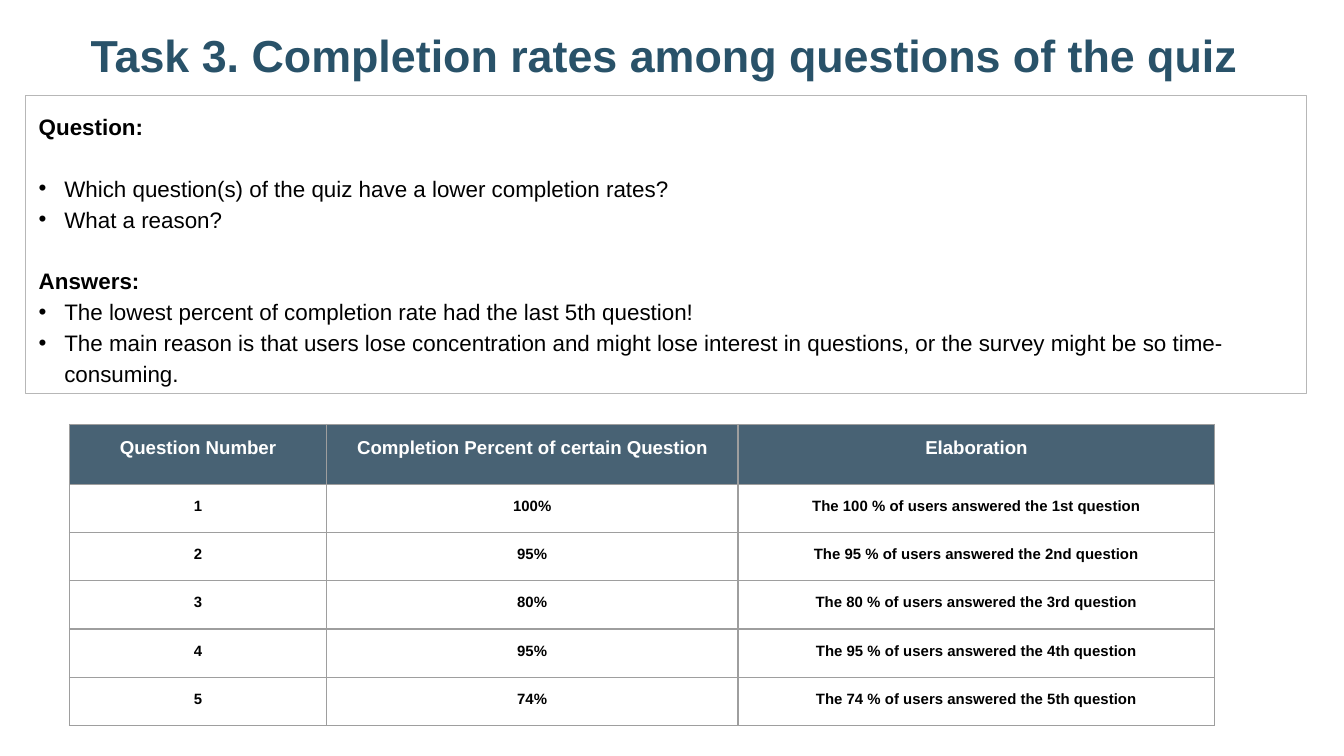
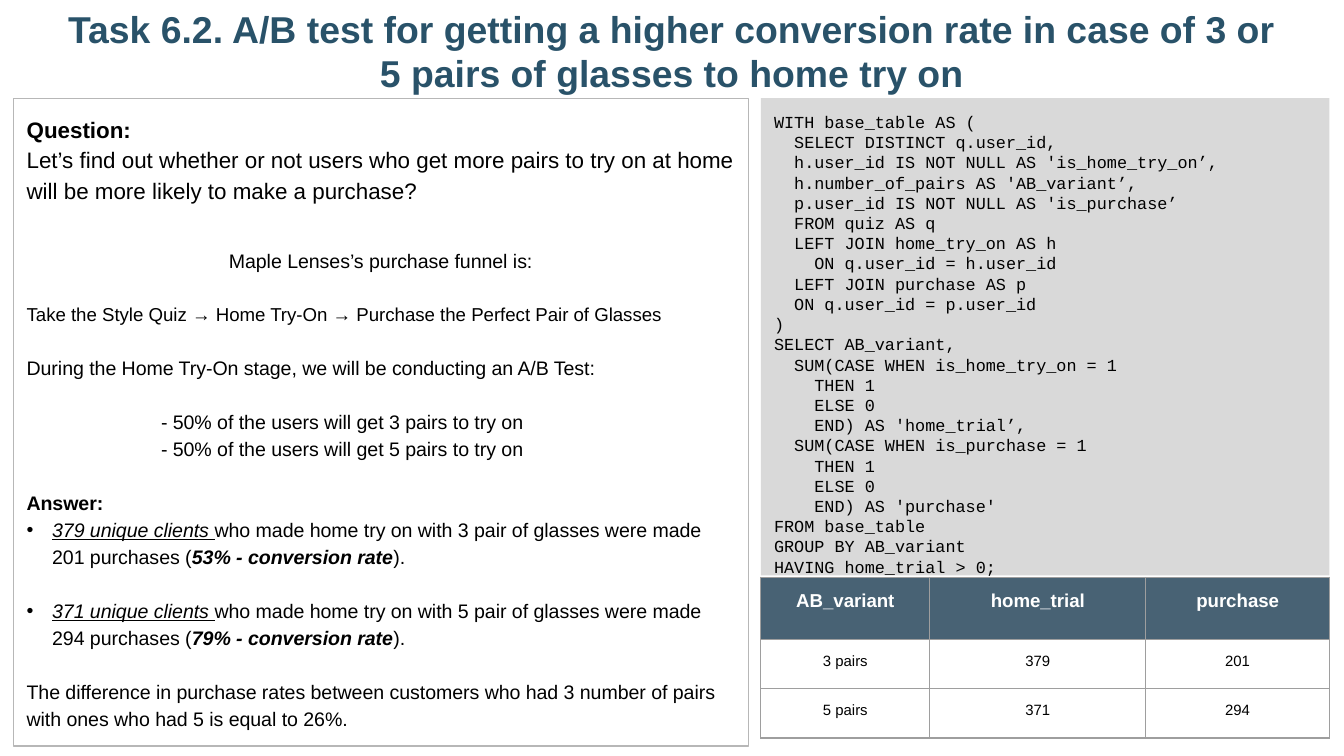
"""Build two quiz-funnel slides: completion rates and the A/B test of home try-on."""
from dataclasses import dataclass
from typing import NamedTuple

from lxml import etree
from pptx import Presentation
from pptx import util as u
from pptx.dml import color
from pptx.enum import shapes, text
from pptx.oxml import ns

SANS, MONO = "Arial", "Courier New"
TITLE, INK, WHITE = "295269", "000000", "FFFFFF"
HEADER, BORDER, FRAME, CODE_FILL = "204056", "9E9E9E", "B7B7B7", "D9D9D9"
HEADER_OPACITY = 82
INSET, LINE_WIDTH = 7.2, 0.75
HANG = 13.7
LEFT, CENTER = text.PP_ALIGN.LEFT, text.PP_ALIGN.CENTER
BOLD = {"bold": True}
CLIENTS = {"italic": True, "underline": True}
RATE = {"bold": True, "italic": True}


class Area(NamedTuple):
    """Left, top, width and height in points."""
    left: float
    top: float
    width: float
    height: float

    def lengths(self) -> list[u.Length]:
        return [u.Pt(value) for value in self]


class Span(NamedTuple):
    """A stretch of text with its own format values."""
    words: str
    style: dict = {}


@dataclass
class Line:
    """A paragraph; gap is the size of the empty line above it."""
    spans: list[Span]
    size: float = 12
    gap: float = 0
    bullet: bool = False
    indent: float = 0
    align: text.PP_ALIGN = LEFT
    spacing: float = 1.15
    font: str = SANS


@dataclass
class Panel:
    """A rectangle filled with paragraphs."""
    area: Area
    lines: list[Line]
    fill: str | None = None
    outline: str | None = None


@dataclass
class Grid:
    """A table with a dark header row."""
    left: float
    top: float
    columns: list[float]
    header_height: float
    row_height: float
    rows: list[list[str]]
    bold_body: bool


@dataclass
class Page:
    """One slide with its title, panels and table."""
    title: str
    title_size: float
    title_area: Area
    panels: list[Panel]
    grid: Grid


def rgb(value: str) -> color.RGBColor:
    """Turn a hex string into a colour."""
    return color.RGBColor.from_string(value)


def apply(target: object, values: dict) -> None:
    """Set each named attribute on the target."""
    for name, value in values.items():
        setattr(target, name, value)


def add_child(parent: etree._Element, tag: str, **attributes: str) -> etree._Element:
    """Append a drawing element to the parent."""
    return etree.SubElement(parent, ns.qn(tag), attributes)


def add_span(paragraph, span: Span, size: float, ink: str = INK, font: str = SANS) -> None:
    """Add a formatted run."""
    run = paragraph.add_run()
    run.text = span.words
    values = {"name": font, "size": u.Pt(size), "bold": False, "italic": False}
    apply(run.font, values | span.style)
    run.font.color.rgb = rgb(ink)


def prepare_frame(frame, anchor: text.MSO_ANCHOR) -> None:
    """Give a text frame its insets, wrapping and anchor."""
    margins = {f"margin_{side}": u.Pt(INSET) for side in ("left", "right", "top", "bottom")}
    apply(frame, margins | {"word_wrap": True, "vertical_anchor": anchor,
                            "auto_size": text.MSO_AUTO_SIZE.NONE})


def add_line(paragraph, line: Line) -> None:
    """Write one paragraph with its spacing, indent and bullet."""
    apply(paragraph, {"alignment": line.align, "line_spacing": line.spacing,
                      "space_before": u.Pt(round(line.gap * 1.38, 2))})
    properties = paragraph._p.get_or_add_pPr()
    if line.bullet:
        properties.set("marL", str(u.Pt(HANG)))
        properties.set("indent", str(-u.Pt(HANG)))
        add_child(add_child(properties, "a:buClr"), "a:srgbClr", val=INK)
        add_child(properties, "a:buFont", typeface=SANS)
        add_child(properties, "a:buChar", char="•")
    elif line.indent:
        properties.set("marL", str(u.Pt(line.indent)))
    for span in line.spans:
        add_span(paragraph, span, line.size, font=line.font)


def add_title(slide, page: Page) -> None:
    """Place and format the title placeholder."""
    title = slide.shapes.title
    apply(title, dict(zip(("left", "top", "width", "height"), page.title_area.lengths())))
    prepare_frame(title.text_frame, text.MSO_ANCHOR.BOTTOM)
    paragraph = title.text_frame.paragraphs[0]
    paragraph.alignment = CENTER
    add_span(paragraph, Span(page.title, BOLD), page.title_size, TITLE)


def add_panel(slide, panel: Panel) -> None:
    """Draw a text panel."""
    shape = slide.shapes.add_shape(shapes.MSO_SHAPE.RECTANGLE, *panel.area.lengths())
    shape.shadow.inherit = False
    if panel.fill:
        shape.fill.solid()
        shape.fill.fore_color.rgb = rgb(panel.fill)
    else:
        shape.fill.background()
    if panel.outline:
        shape.line.color.rgb = rgb(panel.outline)
        shape.line.width = u.Pt(LINE_WIDTH)
    else:
        shape.line.fill.background()
    frame = shape.text_frame
    prepare_frame(frame, text.MSO_ANCHOR.TOP)
    for index, line in enumerate(panel.lines):
        add_line(frame.add_paragraph() if index else frame.paragraphs[0], line)


def format_cell(cell, words: str, is_header: bool, bold: bool) -> None:
    """Fill, border and write one table cell."""
    margins = {f"margin_{side}": u.Pt(INSET) for side in ("left", "right", "top", "bottom")}
    apply(cell, margins)
    properties = cell._tc.get_or_add_tcPr()
    for side in ("L", "R", "T", "B"):
        border = add_child(properties, f"a:ln{side}", w=str(u.Pt(LINE_WIDTH)))
        add_child(add_child(border, "a:solidFill"), "a:srgbClr", val=BORDER)
    if is_header:
        cell.fill.solid()
        cell.fill.fore_color.rgb = rgb(HEADER)
        shade = properties.find(f"{ns.qn('a:solidFill')}/{ns.qn('a:srgbClr')}")
        add_child(shade, "a:alpha", val=str(HEADER_OPACITY * 1000))
    else:
        cell.fill.background()
    paragraph = cell.text_frame.paragraphs[0]
    paragraph.alignment = CENTER
    add_span(paragraph, Span(words, {"bold": bold}),
             10 if is_header else 8, WHITE if is_header else INK)


def add_grid(slide, grid: Grid) -> None:
    """Draw a table."""
    body_count = len(grid.rows) - 1
    area = Area(grid.left, grid.top, sum(grid.columns),
                grid.header_height + body_count * grid.row_height)
    table = slide.shapes.add_table(len(grid.rows), len(grid.columns), *area.lengths()).table
    table.horz_banding = False
    for column, width in zip(table.columns, grid.columns):
        column.width = u.Pt(width)
    for index, (row, words) in enumerate(zip(table.rows, grid.rows)):
        row.height = u.Pt(grid.row_height if index else grid.header_height)
        for cell, word in zip(row.cells, words):
            format_cell(cell, word, index == 0, index == 0 or grid.bold_body)


def conversion(clients: int, pairs: int, purchases: int, rate: int, gap: float = 0) -> Line:
    """Describe the result of one test variant."""
    return Line([Span(f"{clients} unique clients ", CLIENTS),
                 Span(f"who made home try on with {pairs} pair of glasses "
                      f"were made {purchases} purchases ("),
                 Span(f"{rate}% - conversion rate", RATE), Span(").")],
                size=10.5, gap=gap, bullet=True)


QUERY = """WITH base_table AS (
  SELECT DISTINCT q.user_id,
  h.user_id IS NOT NULL AS 'is_home_try_on’,
  h.number_of_pairs AS 'AB_variant’,
  p.user_id IS NOT NULL AS 'is_purchase’
  FROM quiz AS q
  LEFT JOIN home_try_on AS h
    ON q.user_id = h.user_id
  LEFT JOIN purchase AS p
  ON q.user_id = p.user_id
)
SELECT AB_variant,
  SUM(CASE WHEN is_home_try_on = 1
    THEN 1
    ELSE 0
    END) AS 'home_trial’,
  SUM(CASE WHEN is_purchase = 1
    THEN 1
    ELSE 0
    END) AS 'purchase'
FROM base_table
GROUP BY AB_variant
HAVING home_trial > 0;"""

COMPLETION = [("1st", 100), ("2nd", 95), ("3rd", 80), ("4th", 95), ("5th", 74)]

QUIZ_LINES = [
    Line([Span("Question:", BOLD)]),
    Line([Span("Which question(s) of the quiz have a lower completion rates?")], gap=12, bullet=True),
    Line([Span("What a reason?")], bullet=True),
    Line([Span("Answers:", BOLD)], gap=12),
    Line([Span("The lowest percent of completion rate had the last 5th question!")], bullet=True),
    Line([Span("The main reason is that users lose concentration and might lose interest in "
               "questions, or the survey might be so time-consuming.")], bullet=True),
]

TEST_LINES = [
    Line([Span("Question:", BOLD)]),
    Line([Span("Let’s find out whether or not users who get more pairs to try on at home "
               "will be more likely to make a purchase?")]),
    Line([Span("Maple Lenses’s purchase funnel is:")], 10.5, gap=16, align=CENTER),
    Line([Span("Take the Style Quiz → Home Try-On → Purchase the Perfect Pair of Glasses")],
         10, gap=10.5),
    Line([Span("During the Home Try-On stage, we will be conducting an A/B Test:")], 10.5, gap=10.5),
    Line([Span("- 50% of the users will get 3 pairs to try on")], 10.5, gap=10.5, indent=72),
    Line([Span("- 50% of the users will get 5 pairs to try on")], 10.5, indent=72),
    Line([Span("Answer:", BOLD)], 10.5, gap=10.5),
    conversion(379, 3, 201, 53),
    conversion(371, 5, 294, 79, gap=10.5),
    Line([Span("The difference in purchase rates between customers who had 3 number of pairs "
               "with ones who had 5 is equal to 26%.")], 10.5, gap=10.5),
]

PAGES = [
    Page("Task 3. Completion rates among questions of the quiz", 24, Area(20.2, 15.8, 671, 35.3),
         [Panel(Area(13.7, 51.2, 686.2, 159.8), QUIZ_LINES, outline=FRAME)],
         Grid(37.2, 227.4, [137.7, 220.5, 255.5], 32.2, 25.8,
              [["Question Number", "Completion Percent of certain Question", "Elaboration"]]
              + [[str(number), f"{rate}%", f"The {rate} % of users answered the {ordinal} question"]
                 for number, (ordinal, rate) in enumerate(COMPLETION, 1)], True)),
    Page("Task 6.2. A/B test for getting a higher conversion rate in case of 3 or 5 pairs "
         "of glasses to home try on", 20, Area(24.5, 5, 671, 53.3),
         [Panel(Area(407.6, 52.6, 304.6, 255.6),
                [Line([Span(code)], 9, spacing=1, font=MONO) for code in QUERY.split("\n")],
                fill=CODE_FILL),
          Panel(Area(7.2, 52.6, 393.8, 347), TEST_LINES, outline=FRAME)],
         Grid(407.6, 309.4, [90.5, 115.8, 98.3], 33, 26.5,
              [["AB_variant", "home_trial", "purchase"],
               ["3 pairs", "379", "201"], ["5 pairs", "371", "294"]], False)),
]


def main() -> None:
    """Build and save the presentation."""
    presentation = Presentation()
    apply(presentation, {"slide_width": u.Pt(720), "slide_height": u.Pt(405)})
    for page in PAGES:
        slide = presentation.slides.add_slide(presentation.slide_layouts[5])
        add_title(slide, page)
        for panel in page.panels:
            add_panel(slide, panel)
        add_grid(slide, page.grid)
    presentation.save("out.pptx")


if __name__ == "__main__":
    main()
